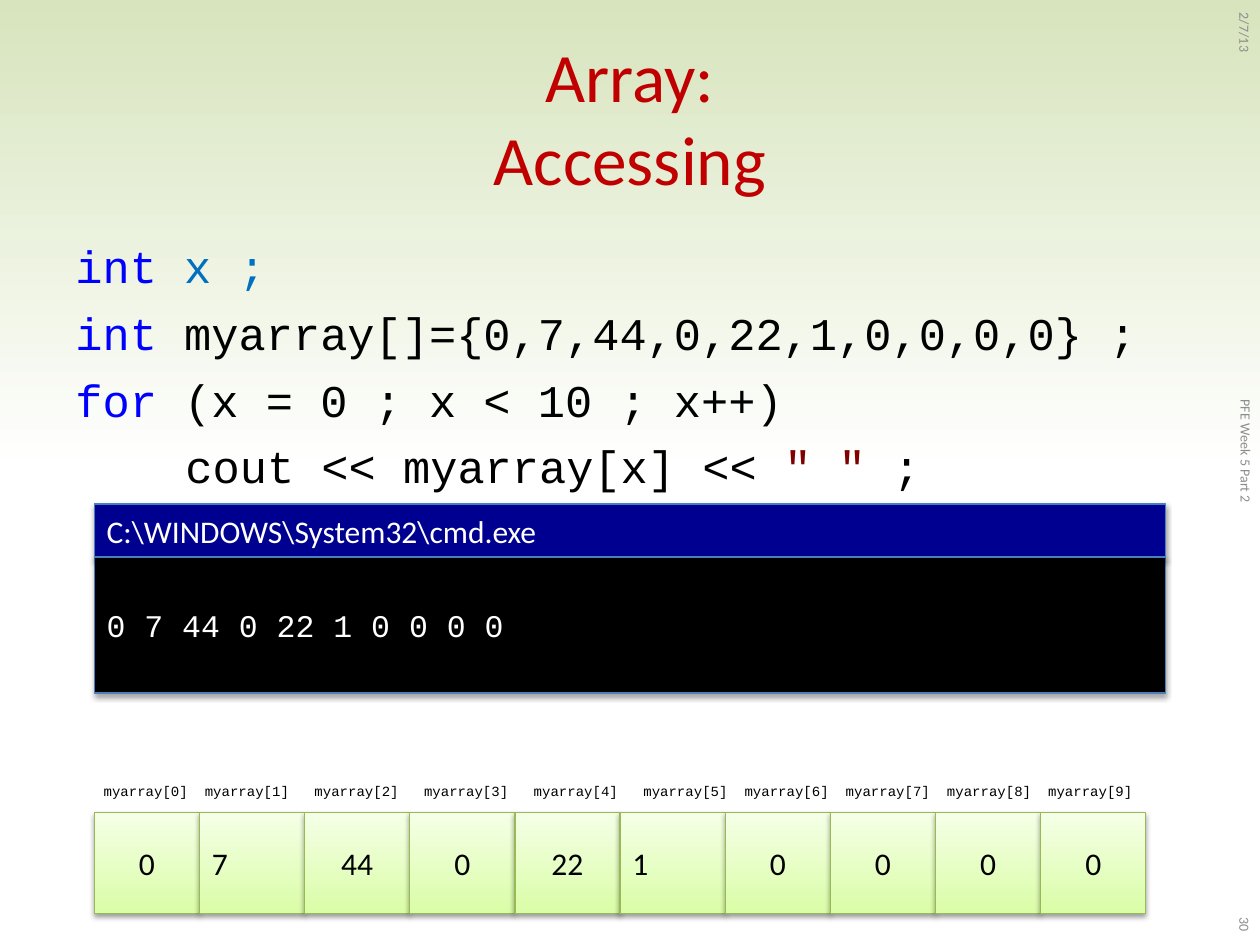
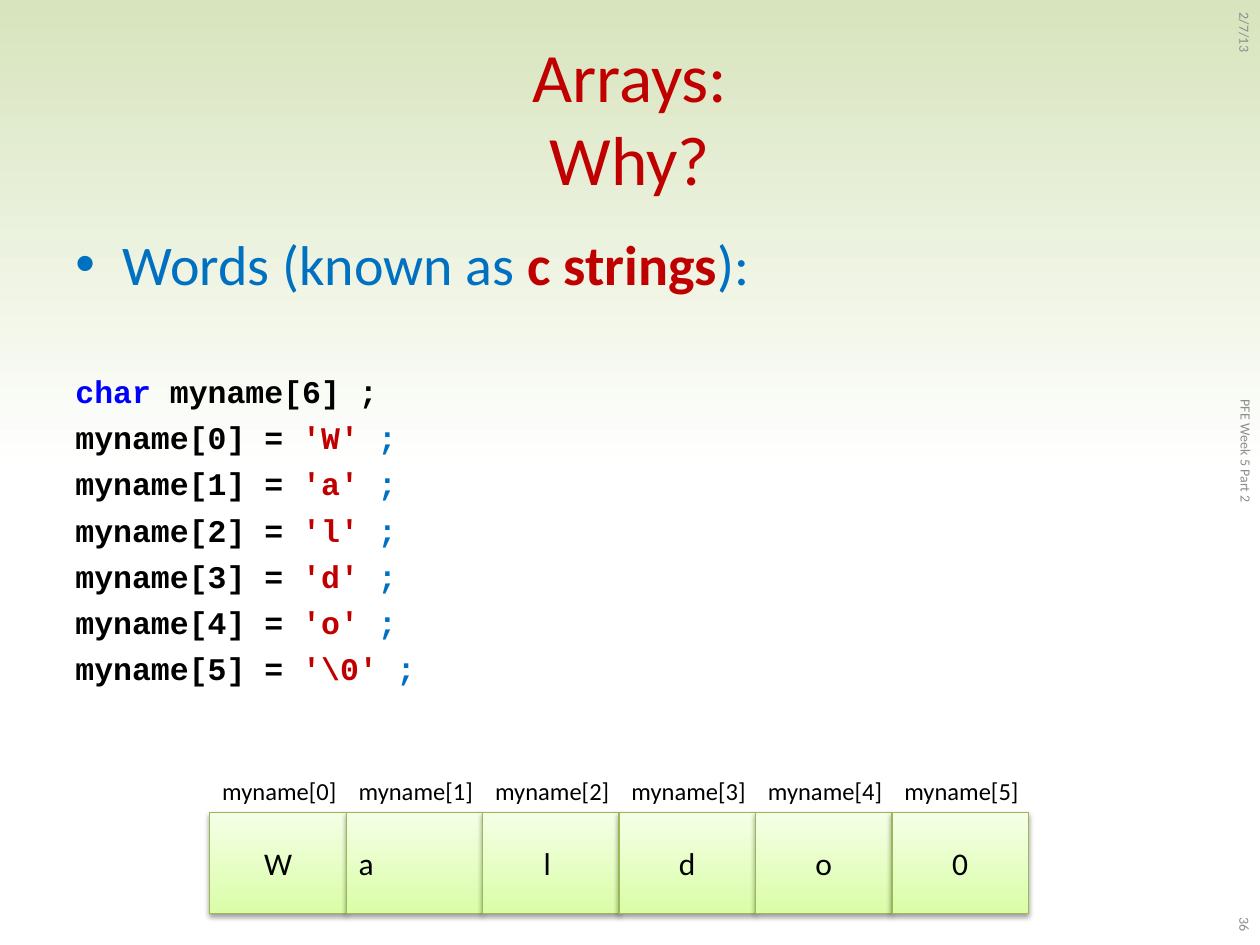
from dataclasses import dataclass
from itertools import accumulate

import pptx
import pptx.dml.color
import pptx.enum.shapes
import pptx.enum.text
import pptx.oxml
import pptx.oxml.ns
import pptx.util

Cm, Pt = pptx.util.Cm, pptx.util.Pt
ALIGN = pptx.enum.text.PP_ALIGN
ANCHOR = pptx.enum.text.MSO_ANCHOR

COLORS = {
    "title": "C00000", "text": "0070C0", "keyword": "0000FF", "code": "000000",
    "literal": "800000", "strong": "C00000", "footer": "8C8C8C", "white": "FFFFFF",
    "bg_top": "D7E4BD", "console": "000000", "console_bar": "000090",
    "console_line": "4B7EBC", "cell_low": "DAFDA7", "cell_high": "F5FFE7",
    "cell_line": "98B955",
}
SANS, MONO = "Calibri", "Courier New"


@dataclass
class Box:
    left: float
    top: float
    width: float
    height: float

    def emu(self) -> tuple:
        return Cm(self.left), Cm(self.top), Cm(self.width), Cm(self.height)


@dataclass
class Style:
    size: float
    color: str
    font: str = SANS
    bold: bool = False


@dataclass
class Line:
    """One paragraph: (text, colour, bold) segments."""
    segments: list
    size: float
    font: str = MONO
    before: float = 0
    indent: float = 0
    bullet: bool = False


@dataclass
class ArrayRow:
    values: list
    left: float
    cell_width: float
    labels: list
    label_box: Box
    label_inset: float
    label_stops: list
    label_style: Style


def rgb(name: str) -> pptx.dml.color.RGBColor:
    return pptx.dml.color.RGBColor.from_string(COLORS[name])


def format_run(r, style: Style) -> None:
    r.font.size = Pt(style.size)
    r.font.name = style.font
    r.font.bold = style.bold
    r.font.color.rgb = rgb(style.color)


def add_xml(parent, tag: str, attrs: str, inner: str = "") -> None:
    ns = pptx.oxml.ns.nsdecls("a")
    parent.append(pptx.oxml.parse_xml(f"<a:{tag} {ns} {attrs}>{inner}</a:{tag}>"))


def set_gradient(fill, start: str, end: str, angle: float, end_at: float = 1) -> None:
    fill.gradient()
    fill.gradient_angle = angle
    for stop, color, position in zip(fill.gradient_stops, (start, end), (0, end_at)):
        stop.color.rgb = rgb(color)
        stop.position = position


def put_text(tf, text: str, style: Style, align=ALIGN.LEFT) -> None:
    tf.word_wrap = True
    tf.text = text
    for p in tf.paragraphs:
        p.alignment = align
        for r in p.runs:
            format_run(r, style)


def add_text(s, box: Box, text: str, style: Style, align=ALIGN.LEFT):
    sp = s.shapes.add_textbox(*box.emu())
    put_text(sp.text_frame, text, style, align)
    return sp


def add_panel(s, box: Box, text: str, style: Style, line: str, alpha: int,
              align=ALIGN.LEFT):
    """Outlined rectangle with a soft shadow below; the caller fills it."""
    sp = s.shapes.add_shape(pptx.enum.shapes.MSO_SHAPE.RECTANGLE, *box.emu())
    sp.line.color.rgb = rgb(line)
    sp.line.width = Pt(0.75)
    sp.shadow.inherit = False
    effects = sp._element.spPr.find(pptx.oxml.ns.qn("a:effectLst"))
    add_xml(effects, "outerShdw",
            'blurRad="40000" dist="22000" dir="5400000" rotWithShape="0"',
            f'<a:srgbClr val="000000"><a:alpha val="{alpha * 1000}"/></a:srgbClr>')
    sp.text_frame.vertical_anchor = ANCHOR.MIDDLE
    put_text(sp.text_frame, text, style, align)
    return sp


def add_body(s, box: Box, lines: list, top_inset: float) -> None:
    tf = s.shapes.add_textbox(*box.emu()).text_frame
    tf.word_wrap = True
    tf.margin_top = Cm(top_inset)
    for i, line in enumerate(lines):
        p = tf.paragraphs[0] if i == 0 else tf.add_paragraph()
        if line.before:
            p.space_before = Pt(line.before)
        pPr = p._p.get_or_add_pPr()
        pPr.set("marL", str(int(Cm(line.indent))))
        if line.bullet:
            pPr.set("indent", str(-int(Cm(line.indent))))
            add_xml(pPr, "buFont", 'typeface="Arial"')
            add_xml(pPr, "buChar", 'char="•"')
        for text, color, bold in line.segments:
            r = p.add_run()
            r.text = text
            format_run(r, Style(line.size, color, line.font, bold))


def add_array(s, row: ArrayRow) -> None:
    # Value cells; the second and sixth are justified
    for i, value in enumerate(row.values):
        box = Box(row.left + i * row.cell_width, 16.38, row.cell_width, 2.03)
        align = ALIGN.JUSTIFY if i in (1, 5) and value != "0" else ALIGN.CENTER
        sp = add_panel(s, box, value, Style(18, "code"), "cell_line", 38, align)
        set_gradient(sp.fill, "cell_low", "cell_high", 90)
    # Element names above the cells, set on tab stops
    sp = add_text(s, row.label_box, "\t".join(row.labels), row.label_style)
    sp.text_frame.margin_left = Cm(row.label_inset)
    stops = "".join(f'<a:tab pos="{int(Cm(x))}" algn="l"/>' for x in row.label_stops)
    add_xml(sp.text_frame.paragraphs[0]._p.get_or_add_pPr(), "tabLst", "", stops)


def add_console(s, window_title: str, output: str) -> None:
    panels = [
        (Box(1.9, 11.23, 21.6, 2.74), output, MONO, "console"),
        (Box(1.9, 10.16, 21.6, 1.07), window_title, SANS, "console_bar"),
    ]
    for box, text, font, fill in panels:
        sp = add_panel(s, box, text, Style(18, "white", font), "console_line", 35)
        sp.fill.solid()
        sp.fill.fore_color.rgb = rgb(fill)


def add_side_notes(s, number: str) -> None:
    notes = [
        (Box(21.92, 2.46, 5.92, 1.02), "2/7/13", ALIGN.LEFT),
        (Box(20.88, 8.59, 8.05, 1.02), "PFE Week 5 Part 2", ALIGN.CENTER),
        (Box(21.92, 15.57, 5.92, 1.02), number, ALIGN.RIGHT),
    ]
    for box, text, align in notes:
        add_text(s, box, text, Style(8, "footer"), align).rotation = 90


def add_slide(prs, title: str):
    s = prs.slides.add_slide(prs.slide_layouts[5])
    sp = s.shapes.title
    sp.left, sp.top, sp.width, sp.height = Box(1.27, 0.76, 22.86, 3.18).emu()
    tf = sp.text_frame
    put_text(tf, title, Style(39.6, "title"), ALIGN.CENTER)
    tf.auto_size = pptx.enum.text.MSO_AUTO_SIZE.NONE
    tf.vertical_anchor = ANCHOR.MIDDLE
    return s


def accessing_slide(prs) -> None:
    s = add_slide(prs, "Array:\vAccessing")
    size, gap = 25.9, 7
    add_body(s, Box(1.27, 4.45, 22.86, 6.15), [
        Line([("int ", "keyword", False), ("x ;", "text", False)], size),
        Line([("int ", "keyword", False),
              ("myarray[]={0,7,44,0,22,1,0,0,0,0} ;", "code", False)], size, before=gap),
        Line([("for ", "keyword", False),
              ("(x = 0 ; x < 10 ; x++)", "code", False)], size, before=gap),
        Line([("cout << myarray[x] << ", "code", False), ('" "', "literal", False),
              (" ;", "code", False)], size, before=gap, indent=2.22),
    ], 0.36)
    add_console(s, "C:\\WINDOWS\\System32\\cmd.exe", "0 7 44 0 22 1 0 0 0 0")

    # Label pitch in characters, each 0.17 cm wide
    pitches = [12] + [13] * 4 + [12] * 4
    add_array(s, ArrayRow(
        ["0", "7", "44", "0", "22", "1", "0", "0", "0", "0"], 1.9, 2.12,
        [f"myarray[{i}]" for i in range(10)], Box(0.84, 15.65, 23.29, 1.27), 1.25,
        [0.17 * n for n in accumulate(pitches)], Style(8, "code", MONO)))
    add_side_notes(s, "30")


def why_slide(prs) -> None:
    s = add_slide(prs, "Arrays:\vWhy?")
    lines = [
        Line([("Words (known as ", "text", False), ("c strings", "strong", True),
              ("):", "text", False)], 32, SANS, indent=0.95, bullet=True),
        Line([("char ", "keyword", True), ("myname[6] ;", "code", True)], 18, before=43),
    ]
    for i, char in enumerate(["W", "a", "l", "d", "o", "\\0"]):
        lines.append(Line([(f"myname[{i}] = ", "code", True), (f"'{char}'", "strong", True),
                           (" ;", "text", True)], 18, before=4.8))
    add_body(s, Box(1.27, 4.45, 22.86, 12.57), lines, 0.18)

    width = 2.75
    add_array(s, ArrayRow(
        ["W", "a", "l ", "d", "o", "0"], 4.23, width,
        [f"myname[{i}]" for i in range(6)], Box(4.23, 15.52, 20.8, 2.06), 0.25,
        [width * i for i in range(1, 6)], Style(14, "code")))
    add_side_notes(s, "36")


def main() -> None:
    prs = pptx.Presentation()
    prs.slide_width, prs.slide_height = Cm(25.4), Cm(19.05)
    set_gradient(prs.slide_master.background.fill, "bg_top", "white", 270, 0.5)
    accessing_slide(prs)
    why_slide(prs)
    prs.save("out.pptx")


if __name__ == "__main__":
    main()
